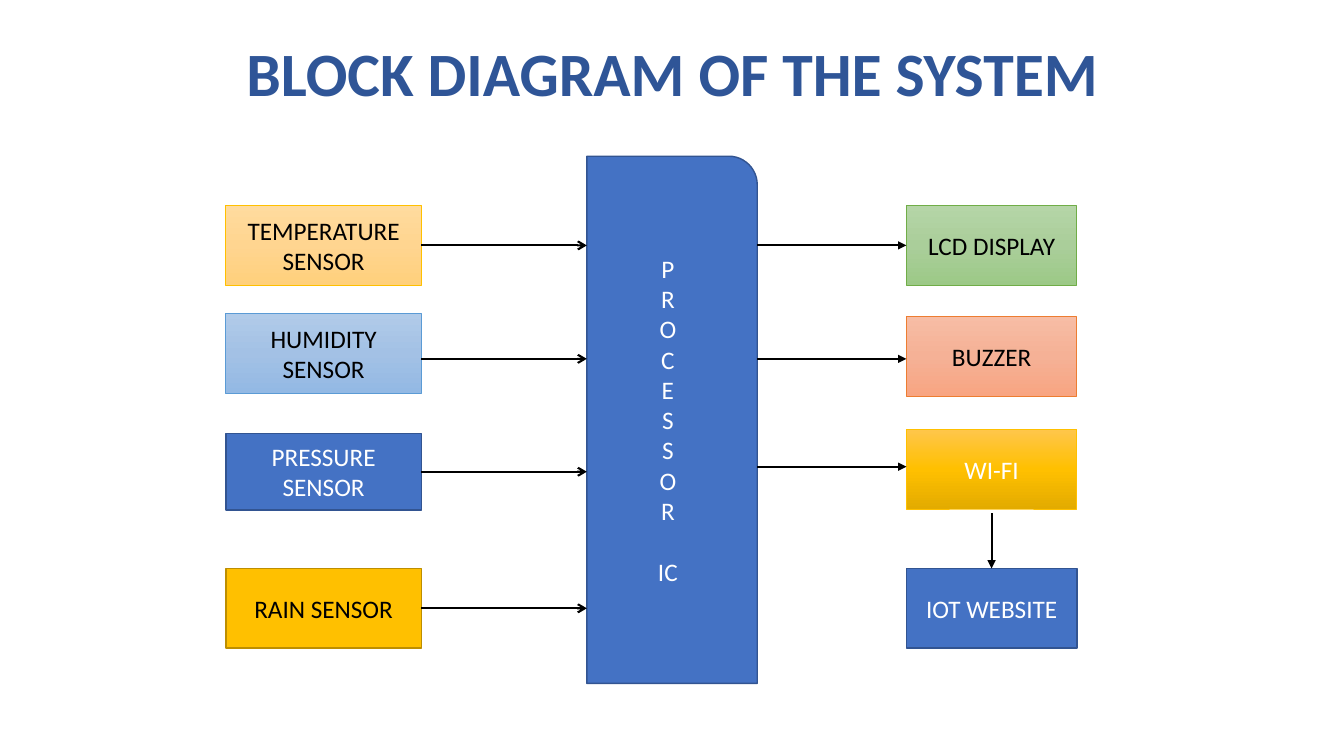
import copy
from dataclasses import dataclass

import pptx
import pptx.dml.color
import pptx.enum.shapes
import pptx.enum.text
import pptx.oxml
import pptx.oxml.ns
import pptx.util

Inches = pptx.util.Inches
Shapes = pptx.enum.shapes.MSO_SHAPE


@dataclass(frozen=True)
class Theme:
    font: str = "Calibri"
    title_size: int = 44
    label_size: int = 18
    title: str = "2F5597"
    dark: str = "000000"
    light: str = "FFFFFF"
    # Each style: fill colours from top to bottom, outline, outline width, text
    blue: tuple = (("4472C4",), "325491", 1, "FFFFFF")
    amber: tuple = (("FFC000",), "BD8E00", 1, "000000")
    pale_gold: tuple = (("FFDB9E", "FFD590", "FFD07C"), "FFC000", 0.5, "000000")
    pale_blue: tuple = (("B1CBE9", "A3C1E5", "93B9E4"), "5B9BD5", 0.5, "000000")
    pale_green: tuple = (("B5D5A7", "AACE9A", "9CC987"), "70AD47", 0.5, "000000")
    pale_orange: tuple = (("F7BDA5", "F5B196", "F8A582"), "ED7D31", 0.5, "000000")
    gold: tuple = (("FFC64B", "FFC000", "E3AB00"), "FFC000", 0.5, "FFFFFF")


THEME = Theme()

# Label, style, top, height, arrow height (None: middle of the block)
SENSORS = [
    ("TEMPERATURE SENSOR", THEME.pale_gold, 2.04, 0.79, None),
    ("HUMIDITY SENSOR", THEME.pale_blue, 3.11, 0.79, 3.56),
    ("PRESSURE SENSOR", THEME.blue, 4.3, 0.76, None),
    ("RAIN SENSOR", THEME.amber, 5.64, 0.79, None),
]
OUTPUTS = [
    ("LCD DISPLAY", THEME.pale_green, 2.04, 0.79, None),
    ("BUZZER", THEME.pale_orange, 3.14, 0.79, 3.56),
    ("WI-FI", THEME.gold, 4.26, 0.79, 4.63),
]


def rgb(value):
    return pptx.dml.color.RGBColor.from_string(value)


def write(shape, text, size, color, bold=False):
    """Centre the text in the shape, one paragraph per line."""
    frame = shape.text_frame
    frame.word_wrap = True
    frame.vertical_anchor = pptx.enum.text.MSO_ANCHOR.MIDDLE
    frame.text = text
    for para in frame.paragraphs:
        para.alignment = pptx.enum.text.PP_ALIGN.CENTER
        for span in para.runs:
            span.font.name = THEME.font
            span.font.size = pptx.util.Pt(size)
            span.font.bold = bold
            span.font.color.rgb = rgb(color)


def paint(fill, colors):
    """Fill with one colour, or with an even gradient from top to bottom."""
    if len(colors) == 1:
        fill.solid()
        fill.fore_color.rgb = rgb(colors[0])
        return
    fill.gradient()
    fill.gradient_angle = 270
    first = fill.gradient_stops[0]._gs
    for _ in range(len(colors) - len(fill.gradient_stops)):
        first.addnext(copy.deepcopy(first))
    for index, (stop, color) in enumerate(zip(fill.gradient_stops, colors)):
        stop.position = index / (len(colors) - 1)
        stop.color.rgb = rgb(color)


def add_block(page, box, label, style, kind=Shapes.RECTANGLE):
    colors, outline, width, text_color = style
    block = page.shapes.add_shape(kind, *map(Inches, box))
    block.shadow.inherit = False
    paint(block.fill, colors)
    block.line.color.rgb = rgb(outline)
    block.line.width = pptx.util.Pt(width)
    write(block, label, THEME.label_size, text_color)
    return block


def add_arrow(page, start, end, head):
    arrow = page.shapes.add_connector(
        pptx.enum.shapes.MSO_CONNECTOR.STRAIGHT, *map(Inches, start + end))
    arrow.line.color.rgb = rgb(THEME.dark)
    arrow.line.width = pptx.util.Pt(1.5)
    tail = pptx.oxml.parse_xml(
        f'<a:tailEnd {pptx.oxml.ns.nsdecls("a")} type="{head}"/>')
    arrow.line._get_or_add_ln().append(tail)
    arrow._element.spPr.append(pptx.oxml.parse_xml(
        f'<a:effectLst {pptx.oxml.ns.nsdecls("a")}/>'))
    return arrow


def add_title(page, box):
    title = page.shapes.add_textbox(*map(Inches, box))
    write(title, "BLOCK DIAGRAM OF THE SYSTEM", THEME.title_size, THEME.title, True)
    title.text_frame.paragraphs[0].line_spacing = 0.9


def add_controller(page, box):
    label = "\n".join([*"PROCESSOR", "IC"])
    hub = add_block(page, box, label, THEME.blue, Shapes.ROUND_1_RECTANGLE)
    # One line of space sets the last word apart
    hub.text_frame.paragraphs[-1].space_before = pptx.util.Pt(22)


def add_sensors(page, left, width, hub_left):
    for label, style, top, height, arrow_y in SENSORS:
        block = add_block(page, (left, top, width, height), label, style)
        y = arrow_y or top + height / 2
        arrow = add_arrow(page, (left + width, y), (hub_left, y), "arrow")
        if arrow_y is None:
            arrow.begin_connect(block, 3)


def add_outputs(page, left, width, hub_right):
    for label, style, top, height, arrow_y in OUTPUTS:
        block = add_block(page, (left, top, width, height), label, style)
        y = arrow_y or top + height / 2
        arrow = add_arrow(page, (hub_right, y), (left, y), "triangle")
        if arrow_y is None:
            arrow.end_connect(block, 1)

    # Website below the wireless block
    top = 5.64
    website = add_block(page, (left, top, width, 0.79), "IOT WEBSITE", THEME.blue)
    middle = left + width / 2
    arrow = add_arrow(page, (middle, 5.09), (middle, top), "triangle")
    arrow.end_connect(website, 0)


def add_diagram(page, box):
    left, top, width, height = box
    block_width, hub_width = 1.69, 1.69
    hub_left = left + 3.58
    add_controller(page, (hub_left, top, hub_width, height))
    add_sensors(page, left, 1.94, hub_left)
    add_outputs(page, left + width - block_width, block_width, hub_left + hub_width)


def main():
    deck = pptx.Presentation()
    deck.slide_width = Inches(13.33)
    deck.slide_height = Inches(7.5)
    page = deck.slides.add_slide(deck.slide_layouts[6])
    page.background.fill.solid()
    page.background.fill.fore_color.rgb = rgb(THEME.light)
    add_title(page, (0.92, 0.43, 11.5, 0.66))
    add_diagram(page, (2.24, 1.55, 8.44, 5.23))
    deck.save("out.pptx")


if __name__ == "__main__":
    main()
